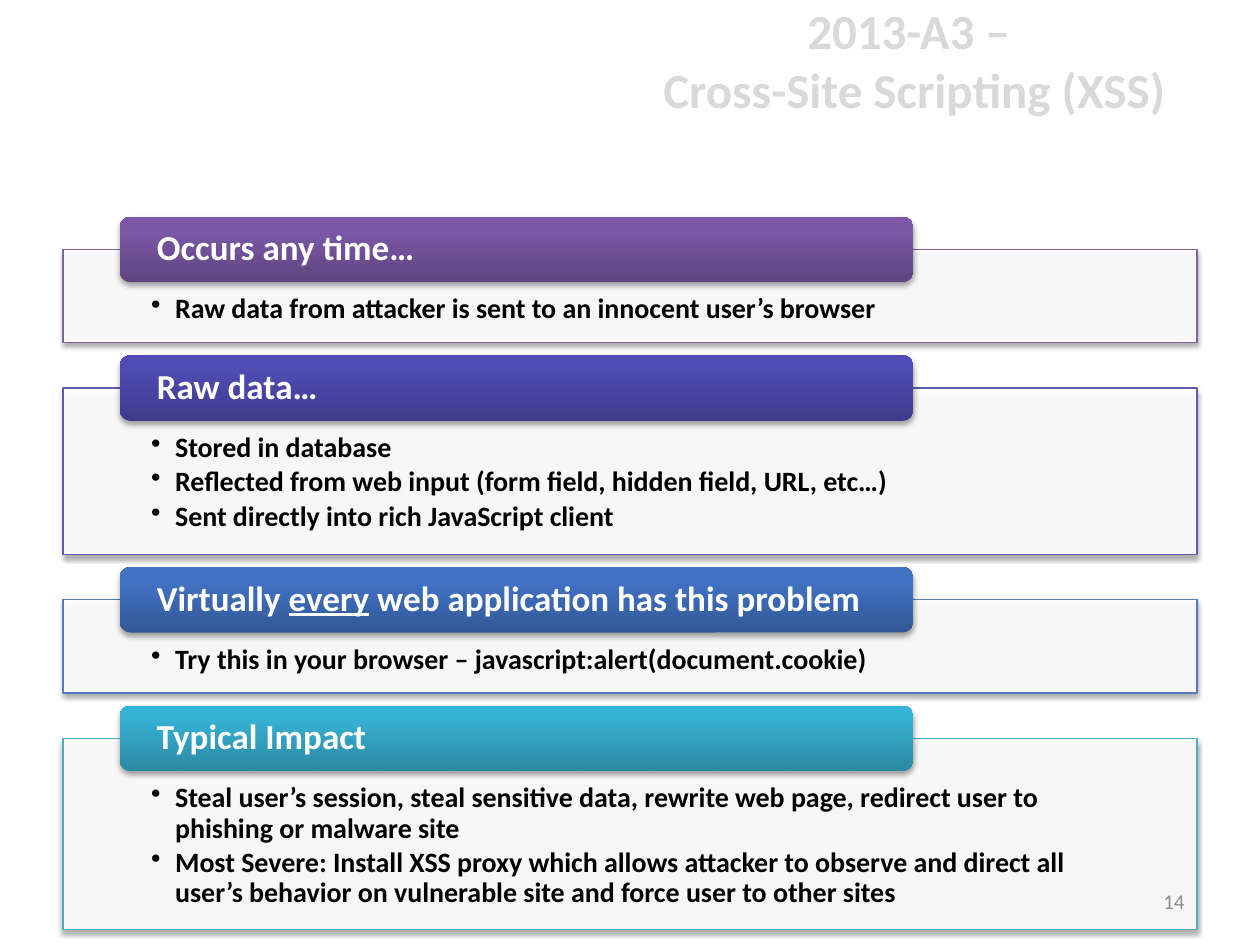
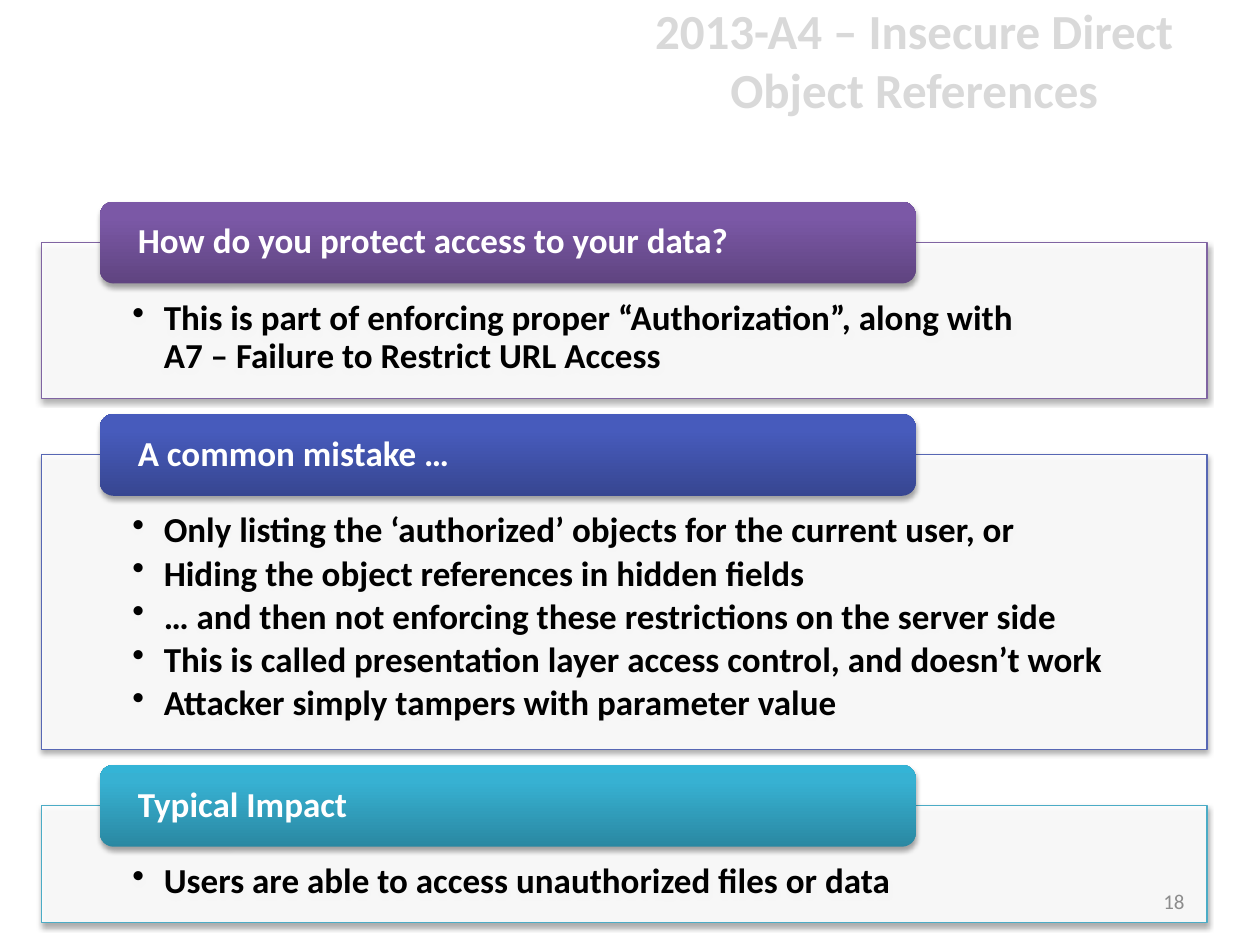
from dataclasses import dataclass

from lxml.etree import SubElement
from pptx import Presentation
from pptx.dml.color import RGBColor
from pptx.enum.shapes import MSO_SHAPE
from pptx.enum.text import MSO_ANCHOR, PP_ALIGN
from pptx.oxml.ns import qn
from pptx.util import Inches, Pt


@dataclass(frozen=True)
class Theme:
    font: str = "Calibri"
    title_color: str = "D9D9D9"
    number_color: str = "8C8C8C"
    heading_color: str = "FFFFFF"
    body_color: str = "000000"
    panel_color: str = "FFFFFF"
    shadow_color: str = "000000"
    title_size: int = 28
    heading_size: int = 20
    number_size: int = 12


@dataclass(frozen=True)
class Accent:
    """Outline of a panel and the gradient of its tab, bottom to top."""
    outline: str
    low: str
    middle: str
    high: str


@dataclass(frozen=True)
class StackStyle:
    """Measures in inches of a stack of tabbed panels; body_size in points."""
    left: float
    top: float
    width: float
    tab_height: float
    gap: float
    side_inset: float
    top_inset: float
    bottom_inset: float
    indent: float
    body_size: int


THEME = Theme()
PURPLE = Accent("8064A2", "5F4480", "7B58A6", "7C57A8")
VIOLET = Accent("5F5BAE", "3E3B8B", "504CB5", "4F4BB8")
INDIGO = Accent("5767B4", "374691", "475BBC", "455ABF")
BLUE = Accent("537ABA", "325897", "4172C4", "3F72C7")
TEAL = Accent("4BACC6", "2A88A2", "37B1D2", "34B4D6")

COMPACT = StackStyle(0.5, 1.72, 9, 0.52, 0.1, 0.7, 0.36, 0.12, 0.19, 16)
ROOMY = StackStyle(0.33, 1.6, 9.25, 0.65, 0.12, 0.72, 0.46, 0.16, 0.25, 20)

# Each section: accent, panel height, heading runs (every second one
# underlined), bullet points.
XSS_SECTIONS = [
    (PURPLE, 0.74, ["Occurs any time…"],
     ["Raw data from attacker is sent to an innocent user’s browser"]),
    (VIOLET, 1.32, ["Raw data…"],
     ["Stored in database",
      "Reflected from web input (form field, hidden field, URL, etc…)",
      "Sent directly into rich JavaScript client"]),
    (BLUE, 0.74, ["Virtually ", "every", " web application has this problem"],
     ["Try this in your browser – javascript:alert(document.cookie)"]),
    (TEAL, 1.52, ["Typical Impact"],
     ["Steal user’s session, steal sensitive data, rewrite web page, "
      "redirect user to phishing or malware site",
      "Most Severe: Install XSS proxy which allows attacker to observe and "
      "direct all user’s behavior on vulnerable site and force user to "
      "other sites"]),
]
REFERENCE_SECTIONS = [
    (PURPLE, 1.24, ["How do you protect access to your data?"],
     ["This is part of enforcing proper “Authorization”, along with \n"
      "A7 – Failure to Restrict URL Access"]),
    (INDIGO, 2.34, ["A common mistake …"],
     ["Only listing the ‘authorized’ objects for the current user, or",
      "Hiding the object references in hidden fields",
      "… and then not enforcing these restrictions on the server side",
      "This is called presentation layer access control, and doesn’t work",
      "Attacker simply tampers with parameter value"]),
    (TEAL, 0.93, ["Typical Impact"],
     ["Users are able to access unauthorized files or data"]),
]


def add_text(paragraph, text, size, color, bold=True, underline=None):
    """Add one run per line, with line breaks between them."""
    for index, line in enumerate(text.split("\n")):
        if index:
            paragraph.add_line_break()
        run = paragraph.add_run()
        run.text = line
        run.font.name = THEME.font
        run.font.size = Pt(size)
        run.font.bold = bold
        run.font.underline = underline
        run.font.color.rgb = RGBColor.from_string(color)


def add_color(parent, color, alpha=None):
    element = SubElement(parent, qn("a:srgbClr"), val=color)
    if alpha is not None:
        SubElement(element, qn("a:alpha"), val=str(alpha * 1000))


def add_shadow(shape):
    shape.shadow.inherit = False
    effects = shape.element.spPr.find(qn("a:effectLst"))
    shadow = SubElement(effects, qn("a:outerShdw"), blurRad=str(Pt(3.1)),
                        dist=str(Pt(1.8)), dir="5400000", rotWithShape="0")
    add_color(shadow, THEME.shadow_color, 35)


def set_insets(frame, left, top, right, bottom):
    frame.word_wrap = True
    frame.margin_left, frame.margin_top = Inches(left), Inches(top)
    frame.margin_right, frame.margin_bottom = Inches(right), Inches(bottom)


def add_shape(slide, preset, left, top, width, height):
    shape = slide.shapes.add_shape(
        preset, Inches(left), Inches(top), Inches(width), Inches(height))
    add_shadow(shape)
    return shape


def add_label(slide, box, text, size, color, align, bold):
    label = slide.shapes.add_textbox(*map(Inches, box))
    frame = label.text_frame
    frame.word_wrap = True
    frame.vertical_anchor = MSO_ANCHOR.MIDDLE
    frame.paragraphs[0].alignment = align
    add_text(frame.paragraphs[0], text, size, color, bold)


def add_bullet(paragraph, text, style):
    properties = paragraph._p.get_or_add_pPr()
    properties.set("marL", str(Inches(style.indent)))
    properties.set("indent", str(-Inches(style.indent)))
    SubElement(properties, qn("a:buChar"), char="•")
    paragraph.alignment = PP_ALIGN.LEFT
    paragraph.line_spacing = 0.9
    paragraph.space_after = Pt(0.15 * style.body_size)
    add_text(paragraph, text, style.body_size, THEME.body_color)


def add_panel(slide, style, top, height, accent, points):
    panel = add_shape(slide, MSO_SHAPE.RECTANGLE,
                      style.left, top, style.width, height)
    panel.fill.solid()
    panel.fill.fore_color.rgb = RGBColor.from_string(THEME.panel_color)
    fill = panel.element.spPr.find(qn("a:solidFill"))
    SubElement(fill[0], qn("a:alpha"), val="90000")
    panel.line.color.rgb = RGBColor.from_string(accent.outline)
    panel.line.width = Pt(0.75)

    frame = panel.text_frame
    set_insets(frame, style.side_inset, style.top_inset,
               style.side_inset, style.bottom_inset)
    frame.vertical_anchor = MSO_ANCHOR.TOP
    for index, point in enumerate(points):
        paragraph = frame.add_paragraph() if index else frame.paragraphs[0]
        add_bullet(paragraph, point, style)


def add_tab(slide, style, top, accent, heading):
    tab = add_shape(slide, MSO_SHAPE.ROUNDED_RECTANGLE,
                    style.left + 0.05 * style.width, top,
                    0.7 * style.width, style.tab_height)
    tab.fill.gradient()
    tab.fill.gradient_angle = 90
    stops = tab.element.spPr.find(qn("a:gradFill")).find(qn("a:gsLst"))
    stops.clear()
    for position, color in ((0, accent.low), (80, accent.middle),
                            (100, accent.high)):
        stop = SubElement(stops, qn("a:gs"), pos=str(position * 1000))
        add_color(stop, color)
    tab.line.fill.background()

    frame = tab.text_frame
    set_insets(frame, 0.27, 0, 0.27, 0)
    frame.vertical_anchor = MSO_ANCHOR.MIDDLE
    paragraph = frame.paragraphs[0]
    paragraph.alignment = PP_ALIGN.LEFT
    paragraph.line_spacing = 0.9
    for index, text in enumerate(heading):
        add_text(paragraph, text, THEME.heading_size, THEME.heading_color,
                 underline=True if index % 2 else None)


def add_stack(slide, style, sections):
    """Stack panels downwards, each with a tab centred on its top edge."""
    top = style.top
    for accent, height, heading, points in sections:
        panel_top = top + style.tab_height / 2
        add_panel(slide, style, panel_top, height, accent, points)
        add_tab(slide, style, top, accent, heading)
        top = panel_top + height + style.gap


def add_risk_slide(deck, title, number, style, sections):
    slide = deck.slides.add_slide(deck.slide_layouts[6])
    add_label(slide, (4.67, 0.08, 5.17, 0.78), title, THEME.title_size,
              THEME.title_color, PP_ALIGN.CENTER, True)
    add_stack(slide, style, sections)
    add_label(slide, (7.17, 6.95, 2.33, 0.4), number, THEME.number_size,
              THEME.number_color, PP_ALIGN.RIGHT, False)


def main():
    deck = Presentation()
    deck.slide_width, deck.slide_height = Inches(10), Inches(7.5)
    add_risk_slide(deck, "2013-A3 – \nCross-Site Scripting (XSS)", "14",
                   COMPACT, XSS_SECTIONS)
    add_risk_slide(deck, "2013-A4 – Insecure Direct Object References", "18",
                   ROOMY, REFERENCE_SECTIONS)
    deck.save("out.pptx")


if __name__ == "__main__":
    main()
